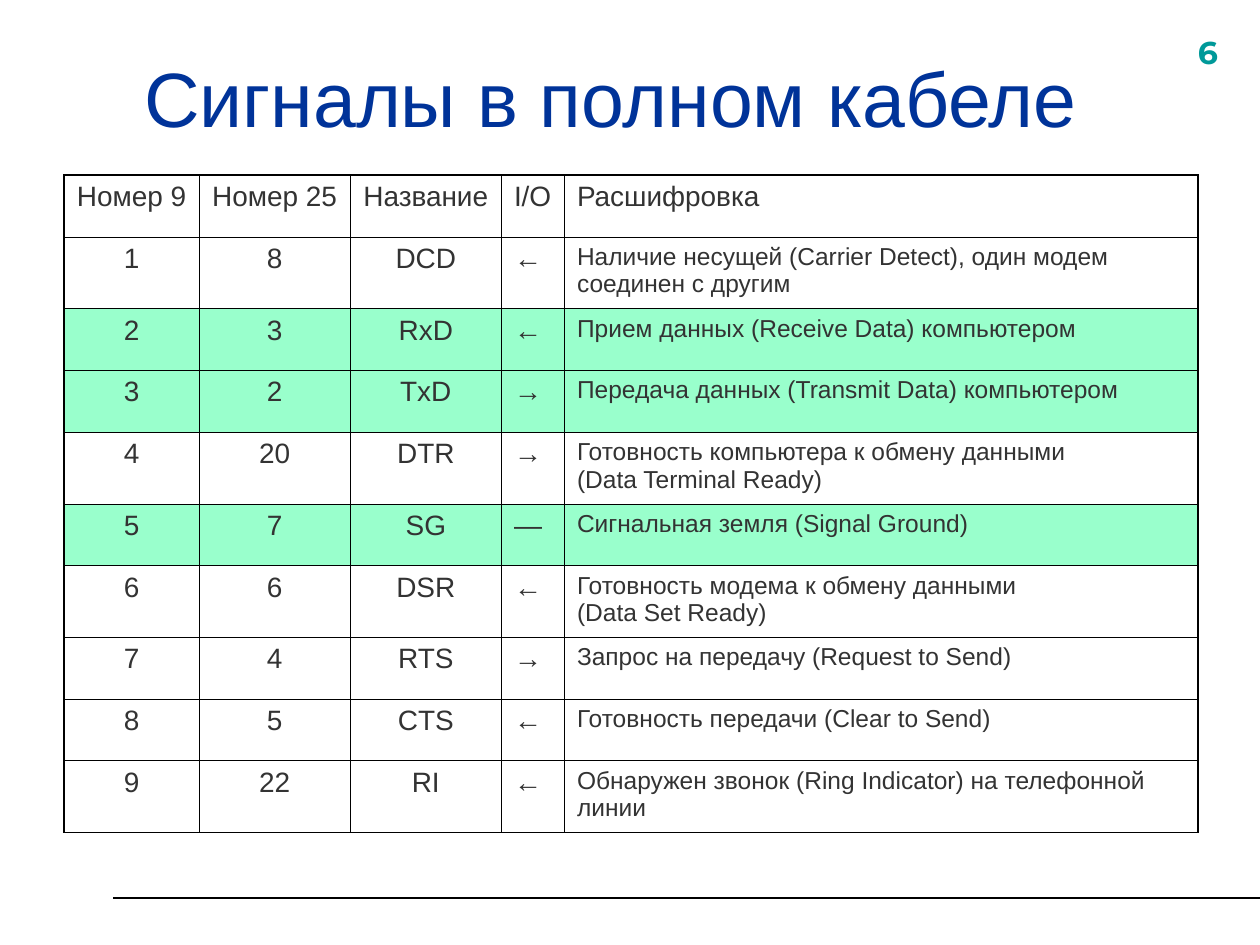
from dataclasses import dataclass

from lxml.etree import SubElement
from pptx import Presentation
from pptx.dml.color import RGBColor
from pptx.enum.shapes import MSO_CONNECTOR as Connector
from pptx.enum.text import MSO_ANCHOR as Anchor, PP_ALIGN as Align
from pptx.oxml.ns import qn
from pptx.util import Inches, Pt


@dataclass(frozen=True)
class Theme:
    body_font: str = "Arial"
    number_font: str = "Montserrat"
    title_color: str = "003399"
    number_color: str = "009999"
    text_color: str = "333333"
    line_color: str = "000000"
    highlight: str = "99FFCC"
    title_size: float = 44
    number_size: float = 18
    cell_size: float = 16
    meaning_size: float = 14
    rule_width: float = 1.25
    outer_width: float = 1.08
    inner_width: float = 0.45


HEADER = ("Номер 9", "Номер 25", "Название", "I/O", "Расшифровка")
SIGNALS = [
    ("1", "8", "DCD", "←", "Наличие несущей (Carrier Detect), один модем соединен с другим"),
    ("2", "3", "RxD", "←", "Прием данных (Receive Data) компьютером"),
    ("3", "2", "TxD", "→", "Передача данных (Transmit Data) компьютером"),
    ("4", "20", "DTR", "→", "Готовность компьютера к обмену данными\n(Data Terminal Ready)"),
    ("5", "7", "SG", "—", "Сигнальная земля (Signal Ground)"),
    ("6", "6", "DSR", "←", "Готовность модема к обмену данными\n(Data Set Ready)"),
    ("7", "4", "RTS", "→", "Запрос на передачу (Request to Send)"),
    ("8", "5", "CTS", "←", "Готовность передачи (Clear to Send)"),
    ("9", "22", "RI", "←", "Обнаружен звонок (Ring Indicator) на телефонной линии"),
]
ESSENTIAL = {"RxD", "TxD", "SG"}
TWO_LINE = {"DCD", "DTR", "DSR", "RI"}
COLUMN_WIDTHS = (1.07, 1.2, 1.2, 0.5, 5.03)
CENTERED_COLUMNS = 3


def write_text(frame, text, *, font, size, color, bold=False, align=Align.LEFT):
    para = frame.paragraphs[0]
    para.alignment = align
    for index, line in enumerate(text.split("\n")):
        if index:
            para.add_line_break()
        span = para.add_run()
        span.text = line
        span.font.name = font
        span.font.size = Pt(size)
        span.font.bold = bold
        span.font.color.rgb = RGBColor.from_string(color)
    for line_break in para._p.findall(qn("a:br")):
        SubElement(line_break, qn("a:rPr"), sz=str(size * 100))


class SlideBuilder:
    def __init__(self, deck, theme):
        self.theme = theme
        self.page = deck.slides.add_slide(deck.slide_layouts[6])

    def rule(self, left, top, right):
        line = self.page.shapes.add_connector(
            Connector.STRAIGHT, Inches(left), Inches(top), Inches(right), Inches(top))
        line.line.color.rgb = RGBColor.from_string(self.theme.line_color)
        line.line.width = Pt(self.theme.rule_width)
        SubElement(line._element.spPr, qn("a:effectLst"))

    def text(self, text, left, top, width, height, anchor=Anchor.TOP, **style):
        box = self.page.shapes.add_textbox(
            Inches(left), Inches(top), Inches(width), Inches(height))
        box.text_frame.word_wrap = True
        box.text_frame.vertical_anchor = anchor
        write_text(box.text_frame, text, **style)

    def cell_borders(self, cell, outer_sides):
        properties = cell._tc.get_or_add_tcPr()
        for side in "LRTB":
            width = self.theme.outer_width if side in outer_sides else self.theme.inner_width
            border = SubElement(properties, qn(f"a:ln{side}"), w=str(Pt(width)))
            fill = SubElement(border, qn("a:solidFill"))
            SubElement(fill, qn("a:srgbClr"), val=self.theme.line_color)

    def signal_table(self, left, top, header, signals):
        theme = self.theme
        rows = [header, *signals]
        heights = [0.57 if row[2] in TWO_LINE else 0.49 for row in rows]
        table = self.page.shapes.add_table(
            len(rows), len(header), Inches(left), Inches(top),
            Inches(sum(COLUMN_WIDTHS)), Inches(sum(heights))).table
        table.first_row = table.horz_banding = False
        for column, width in zip(table.columns, COLUMN_WIDTHS):
            column.width = Inches(width)
        last_row, last_column = len(rows) - 1, len(header) - 1
        for row, values in enumerate(rows):
            table.rows[row].height = Inches(heights[row])
            for column, value in enumerate(values):
                cell = table.cell(row, column)
                edges = {"L": column == 0, "R": column == last_column,
                         "T": row == 0, "B": row == last_row}
                self.cell_borders(cell, {side for side, outer in edges.items() if outer})
                if values[2] in ESSENTIAL:
                    cell.fill.solid()
                    cell.fill.fore_color.rgb = RGBColor.from_string(theme.highlight)
                else:
                    cell.fill.background()
                is_meaning = row > 0 and column == last_column
                write_text(
                    cell.text_frame, value, font=theme.body_font, color=theme.text_color,
                    size=theme.meaning_size if is_meaning else theme.cell_size,
                    align=Align.CENTER if column < CENTERED_COLUMNS else Align.LEFT)


def main():
    deck = Presentation()
    deck.slide_width, deck.slide_height = Inches(10), Inches(7.5)
    theme = Theme()
    builder = SlideBuilder(deck, theme)
    builder.rule(0.9, 7.13, 10)
    builder.text("6", 9.41, 0.21, 0.63, 0.44, font=theme.number_font,
                 size=theme.number_size, color=theme.number_color, bold=True)
    builder.text("Сигналы в полном кабеле", 0.35, 0.29, 9, 0.95, anchor=Anchor.MIDDLE,
                 font=theme.body_font, size=theme.title_size, color=theme.title_color,
                 align=Align.CENTER)
    builder.signal_table(0.51, 1.39, HEADER, SIGNALS)
    deck.save("out.pptx")


if __name__ == "__main__":
    main()
